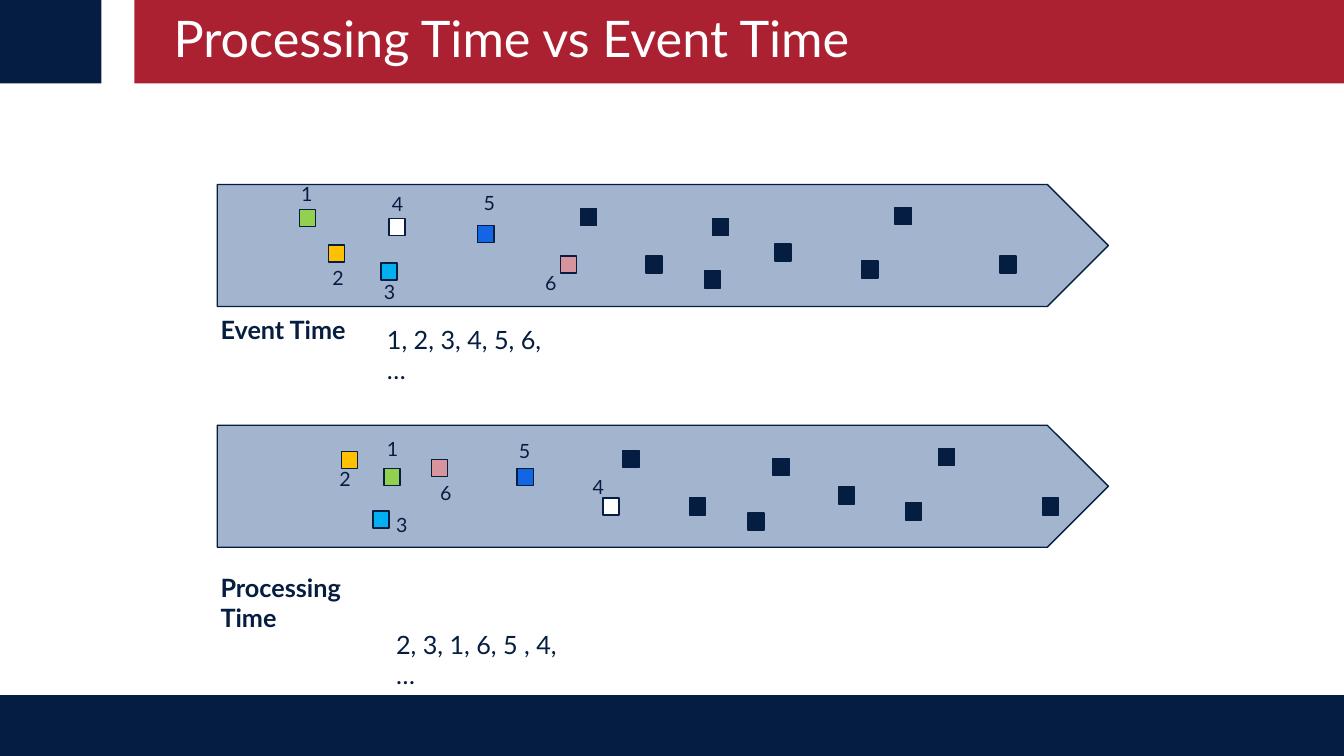
from pptx import Presentation
from pptx.dml.color import RGBColor
from pptx.enum.shapes import MSO_SHAPE as Kind
from pptx.enum.text import MSO_ANCHOR as Anchor
from pptx.util import Pt

HEX = {
    "navy": "051D41", "red": "AC2131", "steel": "A3B4CE", "white": "FFFFFF",
    "green": "92D050", "gold": "FFC000", "sky": "00B0F0", "blue": "1266E4",
    "pink": "D7949C",
}

deck = Presentation()
deck.slide_width, deck.slide_height = Pt(960), Pt(540)
slide = deck.slides.add_slide(deck.slide_layouts[6])


def add_box(x, y, w, h, fill, kind=Kind.RECTANGLE, line=None):
    box = slide.shapes.add_shape(kind, Pt(x), Pt(y), Pt(w), Pt(h))
    box.shadow.inherit = False
    box.fill.solid()
    box.fill.fore_color.rgb = RGBColor.from_string(HEX[fill])
    if line:
        box.line.color.rgb = RGBColor.from_string(HEX[line])
        box.line.width = Pt(1)
    else:
        box.line.fill.background()


def add_text(text, x, y, w, h, size=18, color="navy", bold=False, wrap=True,
             anchor=Anchor.TOP, left=7.2, space=None):
    frame = slide.shapes.add_textbox(Pt(x), Pt(y), Pt(w), Pt(h)).text_frame
    frame.word_wrap = wrap
    frame.vertical_anchor = anchor
    frame.margin_left = Pt(left)
    para = frame.paragraphs[0]
    para.line_spacing = space
    run = para.add_run()
    run.text = text
    run.font.name = "Lato"
    run.font.size = Pt(size)
    run.font.bold = bold
    run.font.color.rgb = RGBColor.from_string(HEX[color])


# Frame and title
add_box(0, 496.6, 960, 43.4, "navy")
add_box(96, 0, 864, 59.5, "red")
add_box(0, 0, 72.5, 59.5, "navy")
add_text("Processing Time vs Event Time", 96, 0, 864, 59.5, size=36,
         color="white", anchor=Anchor.MIDDLE, left=28, space=0.9)

# Numbered events: digit -> (square x, y, label x, y); the rest are plain dots
TINTS = {1: "green", 2: "gold", 3: "sky", 4: "white", 5: "blue", 6: "pink"}
lanes = [
    {
        "top": 131.8,
        "name": ("Event Time", 150.5, 221, 103.7),
        "order": ("1, 2, 3, 4, 5, 6, …", 269.3, 228.2, 135.4),
        "events": {
            1: (213.8, 149.8, 208.1, 126.7),
            2: (234.7, 175, 230.4, 186.5),
            3: (272.2, 187.9, 267.1, 196.6),
            4: (277.9, 156.2, 272.9, 133.9),
            5: (341.3, 161.3, 338.4, 132.5),
            6: (400.3, 182.9, 382.3, 190.1),
        },
        "dots": [(414.7, 149), (461.5, 182.9), (509, 156.2), (503.3, 193.7),
                 (553.7, 174.2), (615.6, 186.5), (639.4, 148.3),
                 (714.2, 182.9)],
    },
    {
        "top": 303.8,
        "name": ("Processing Time", 150.5, 405.4, 141.8),
        "order": ("2, 3, 1, 6, 5 , 4, …", 275.8, 445.7, 139.7),
        "events": {
            2: (244.1, 322.6, 235.4, 329.8),
            3: (266.4, 365, 275.8, 362.9),
            1: (274.3, 334.8, 269.3, 308.2),
            6: (308.2, 328.3, 307.4, 339.8),
            5: (369.4, 334.8, 363.6, 310.3),
            4: (430.6, 355.7, 416.2, 335.5),
        },
        "dots": [(445, 321.8), (492.5, 355.7), (552.2, 327.6), (534.2, 366.5),
                 (599, 347.8), (646.6, 359.3), (670.3, 320.4),
                 (744.5, 355.7)],
    },
]

for lane in lanes:
    add_box(155.2, lane["top"], 636.5, 87.1, "steel", Kind.PENTAGON, "navy")
    for digit, (x, y, tag_x, tag_y) in lane["events"].items():
        add_box(x, y, 11.5, 12.2, TINTS[digit], line="navy")
        add_text(str(digit), tag_x, tag_y, 21.6, 24.5, size=14, wrap=False)
    for x, y in lane["dots"]:
        add_box(x, y, 11.5, 12.2, "navy", line="navy")
    for key in ("name", "order"):
        text, x, y, w = lane[key]
        add_text(text, x, y, w, 28.8, bold=key == "name")

deck.save("out.pptx")
